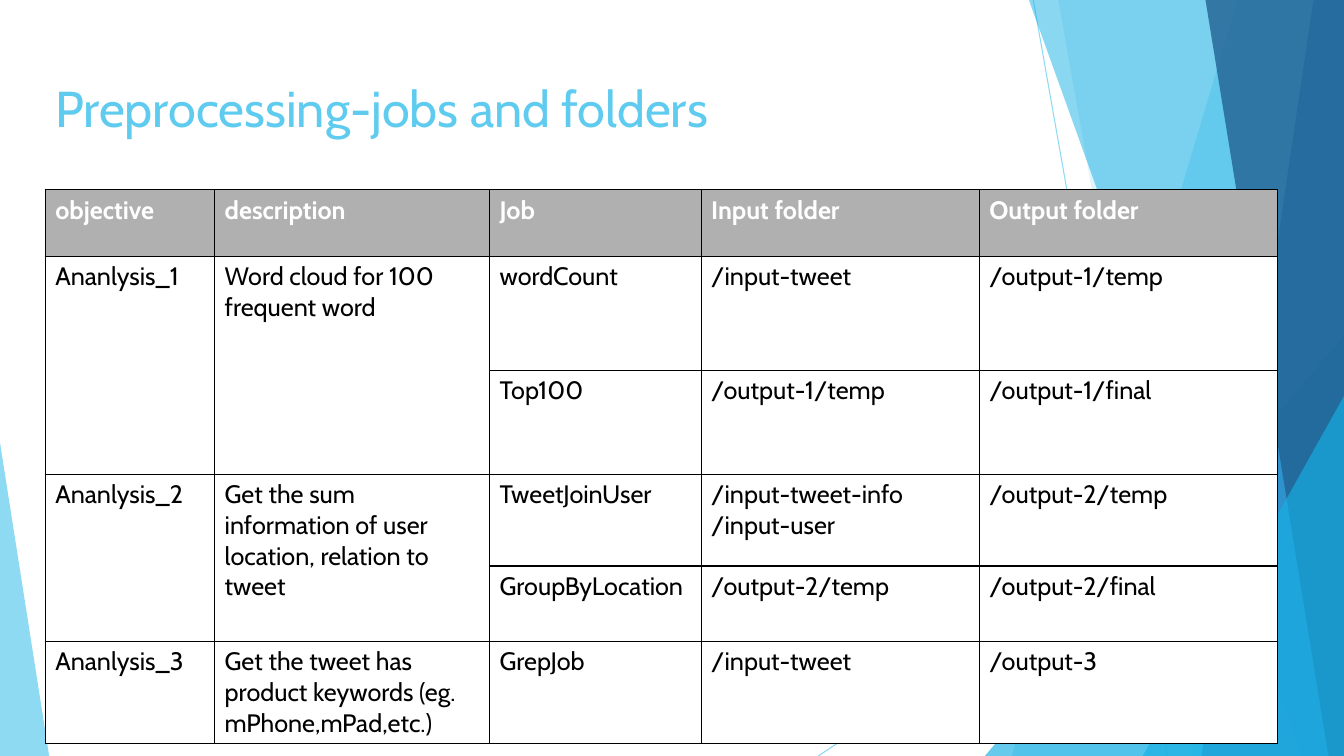
from lxml import etree
from pptx import Presentation
from pptx.dml.color import RGBColor
from pptx.enum.shapes import MSO_CONNECTOR, MSO_SHAPE
from pptx.enum.text import MSO_ANCHOR, PP_ALIGN
from pptx.oxml.ns import qn
from pptx.util import Cm, Pt

STRAIGHT = MSO_CONNECTOR.STRAIGHT
TRIANGLE = MSO_SHAPE.ISOSCELES_TRIANGLE
MIDDLE = MSO_ANCHOR.MIDDLE
LEFT = PP_ALIGN.LEFT

SKY = RGBColor(0x5F, 0xCB, 0xEF)
CYAN = RGBColor(0x17, 0xB0, 0xE4)
BLUE = RGBColor(0x2E, 0x83, 0xC3)
NAVY = RGBColor(0x22, 0x62, 0x92)
GRAY = RGBColor(0xB0, 0xB0, 0xB0)
WHITE = RGBColor(0xFF, 0xFF, 0xFF)
BLACK = RGBColor(0, 0, 0)

WIDTH, HEIGHT = 33.87, 19.05
COLUMN_WIDTHS = [4.27, 6.93, 5.33, 7.01, 7.52]
ROW_HEIGHTS = [1.68, 2.87, 2.62, 2.31, 1.9, 2.57]

# None continues the cell above it.
JOB_ROWS = [
    ["objective", "description", "Job", "Input folder", "Output folder"],
    ["Ananlysis_1", "Word cloud for 100 frequent word", "wordCount",
     "/input-tweet", "/output-1/temp"],
    [None, None, "Top100", "/output-1/temp", "/output-1/final"],
    ["Ananlysis_2", "Get the sum information of user location, relation to tweet",
     "TweetJoinUser", "/input-tweet-info\n/input-user", "/output-2/temp"],
    [None, None, "GroupByLocation", "/output-2/temp", "/output-2/final"],
    ["Ananlysis_3", "Get the tweet has product keywords (eg. mPhone,mPad,etc.)",
     "GrepJob", "/input-tweet", "/output-3"],
]


def write_text(text_frame, text, *, font, size, color, bold=False):
    """Fill a text frame, one paragraph for each line of text."""
    text_frame.word_wrap = True
    text_frame.text = text
    for paragraph in text_frame.paragraphs:
        paragraph.alignment = LEFT
        for run in paragraph.runs:
            run.font.name = font
            run.font.size = Pt(size)
            run.font.bold = bold
            run.font.color.rgb = color


def set_opacity(shape, percent):
    """Make every colour of a shape partly transparent."""
    for color in shape._element.spPr.iter(qn("a:srgbClr")):
        etree.SubElement(color, qn("a:alpha"), val=str(percent * 1000))


def set_borders(cell, color, width):
    """Draw a solid border on all four sides of a cell."""
    properties = cell._tc.get_or_add_tcPr()
    for position, side in enumerate(("a:lnL", "a:lnR", "a:lnT", "a:lnB")):
        border = etree.Element(qn(side), w=str(Pt(width)))
        fill = etree.SubElement(border, qn("a:solidFill"))
        etree.SubElement(fill, qn("a:srgbClr"), val=str(color))
        properties.insert(position, border)


class SlideBuilder:
    """Holds the style and the current slide."""

    font = "Cabin"

    def __init__(self, slide):
        """Start building on a slide."""
        self.slide = slide
        self.shapes = slide.shapes

    def finish_shape(self, shape, color, opacity):
        """Give a shape a plain transparent fill."""
        shape.shadow.inherit = False
        shape.fill.solid()
        shape.fill.fore_color.rgb = color
        shape.line.fill.background()
        set_opacity(shape, opacity)

    def line(self, start, end, color, opacity):
        """Add a thin straight line."""
        points = [Cm(value) for value in (*start, *end)]
        connector = self.shapes.add_connector(STRAIGHT, *points)
        connector.line.color.rgb = color
        connector.line.width = Pt(0.75)
        set_opacity(connector, opacity)
        etree.SubElement(connector._element.spPr, qn("a:effectLst"))

    def band(self, top_left, bottom_left, color, opacity):
        """Add a full-height band that ends at the right slide edge."""
        builder = self.shapes.build_freeform(Cm(top_left), 0)
        builder.add_line_segments([(Cm(WIDTH), 0), (Cm(WIDTH), Cm(HEIGHT)),
                                   (Cm(bottom_left), Cm(HEIGHT))])
        self.finish_shape(builder.convert_to_shape(), color, opacity)

    def triangle(self, left, top, width, apex, color, opacity):
        """Add a triangle that stands on the bottom slide edge."""
        shape = self.shapes.add_shape(
            TRIANGLE, Cm(left), Cm(top), Cm(width), Cm(HEIGHT - top))
        shape.adjustments[0] = apex
        self.finish_shape(shape, color, opacity)

    def title(self, text):
        """Place the title in front of the backdrop."""
        title = self.shapes.title
        title.left, title.top = Cm(1.14), Cm(1.65)
        title.width, title.height = Cm(31.55), Cm(2.13)
        frame = title.text_frame
        frame.vertical_anchor = MIDDLE
        frame.margin_left = frame.margin_right = Cm(0.25)
        frame.margin_top = frame.margin_bottom = Cm(0.25)
        write_text(frame, text, font=self.font, size=36, color=SKY)
        self.shapes._spTree.append(title._element)

    def table(self, rows, left, top):
        """Add a bordered table with a gray header row."""
        table = self.shapes.add_table(
            len(rows), len(COLUMN_WIDTHS), Cm(left), Cm(top),
            Cm(sum(COLUMN_WIDTHS)), Cm(sum(ROW_HEIGHTS))).table
        table.horz_banding = False
        for column, width in zip(table.columns, COLUMN_WIDTHS):
            column.width = Cm(width)
        for row, height in zip(table.rows, ROW_HEIGHTS):
            row.height = Cm(height)
        for row_index, row in enumerate(rows):
            header = row_index == 0
            for column_index, text in enumerate(row):
                cell = table.cell(row_index, column_index)
                cell.fill.solid()
                cell.fill.fore_color.rgb = GRAY if header else WHITE
                set_borders(cell, BLACK, 1)
                if text is None:
                    table.cell(row_index - 1, column_index).merge(cell)
                else:
                    write_text(cell.text_frame, text, font=self.font, size=18,
                               color=WHITE if header else BLACK, bold=header)


def draw_backdrop(builder):
    """Draw the blue facets from back to front."""
    builder.line((26.04, 0), (29.41, HEIGHT), SKY, 70)
    builder.line((WIDTH, 10.24), (20.62, HEIGHT), SKY, 70)
    builder.band(31.19, 25.5, SKY, 36)
    builder.band(26.67, 30.05, SKY, 20)
    builder.triangle(24.82, 8.46, 9.05, 1, CYAN, 66)
    builder.band(25.93, 32.79, CYAN, 50)
    builder.band(33.1, 30.28, BLUE, 70)
    builder.band(30.38, 33.48, NAVY, 80)
    builder.triangle(28.8, 9.98, 5.07, 1, CYAN, 66)
    builder.triangle(0, 11.15, 1.24, 0, SKY, 70)


def main():
    """Build and save the presentation."""
    presentation = Presentation()
    presentation.slide_width, presentation.slide_height = Cm(WIDTH), Cm(HEIGHT)
    title_only = presentation.slide_layouts.get_by_name("Title Only")
    builder = SlideBuilder(presentation.slides.add_slide(title_only))
    draw_backdrop(builder)
    builder.title("Preprocessing-jobs and folders")
    builder.table(JOB_ROWS, 1.14, 4.78)
    presentation.save("out.pptx")


main()
